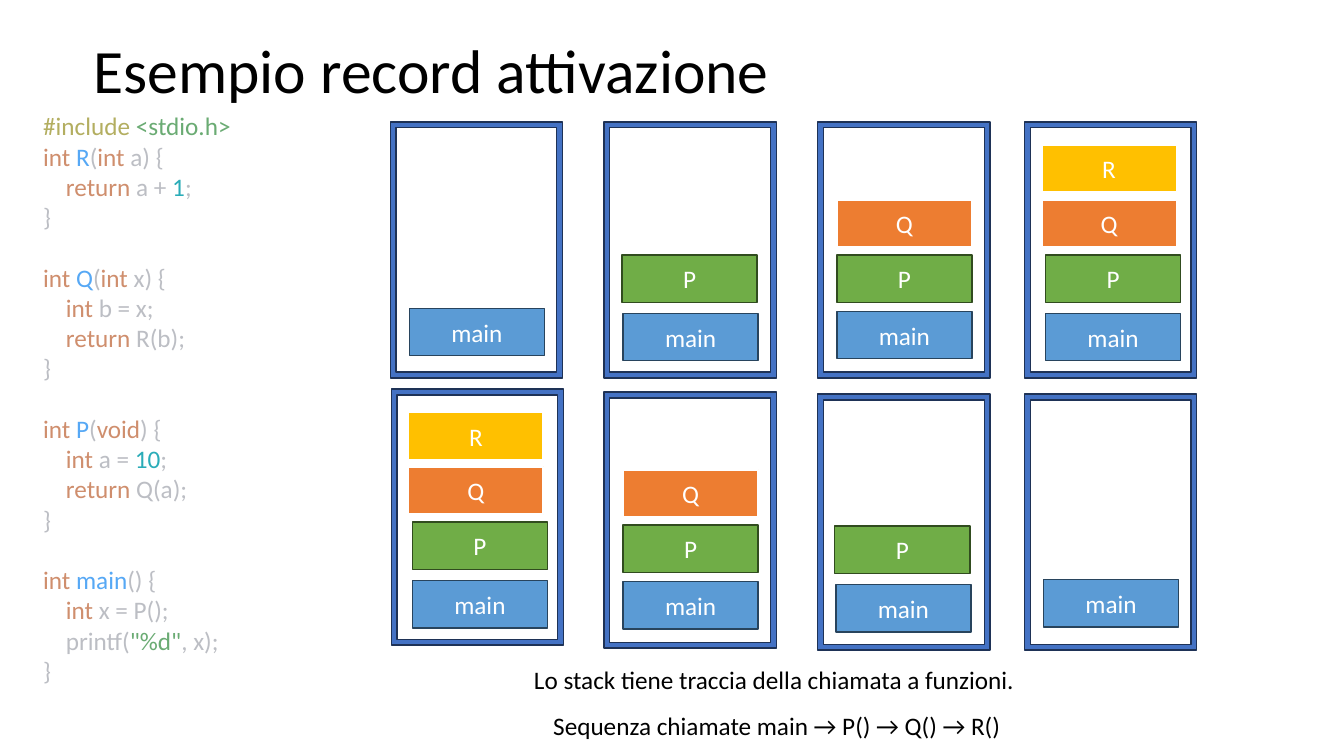
from pptx import Presentation
from pptx.dml.color import RGBColor
from pptx.enum.shapes import MSO_SHAPE
from pptx.enum.text import MSO_ANCHOR, PP_ALIGN
from pptx.util import Pt

PX = 9144

BLACK = RGBColor(0x00, 0x00, 0x00)
WHITE = RGBColor(0xFF, 0xFF, 0xFF)
FRAME_BLUE = RGBColor(0x44, 0x72, 0xC4)
FRAME_EDGE = RGBColor(0x1E, 0x32, 0x56)
MAIN_BLUE = RGBColor(0x5B, 0x9B, 0xD5)
MAIN_EDGE = RGBColor(0x28, 0x44, 0x5D)
P_GREEN = RGBColor(0x70, 0xAD, 0x47)
P_EDGE = RGBColor(0x31, 0x4C, 0x1F)
Q_ORANGE = RGBColor(0xED, 0x7D, 0x31)
R_YELLOW = RGBColor(0xFF, 0xC0, 0x00)
CODE_GREY = RGBColor(0xBC, 0xBE, 0xC4)
DIRECTIVE = RGBColor(0xB3, 0xAE, 0x60)
STRING = RGBColor(0x6A, 0xAB, 0x73)
KEYWORD = RGBColor(0xCF, 0x8E, 0x6D)
FUNCTION = RGBColor(0x56, 0xA8, 0xF5)
NUMBER = RGBColor(0x2A, 0xAC, 0xB8)

BODY_FORMAT = {"name": "Calibri", "size": Pt(18)}
TITLE_FORMAT = {"name": "Calibri", "size": Pt(44)}

TOKEN_COLOURS = {
    "#include": DIRECTIVE, "<stdio.h>": STRING, '"%d"': STRING,
    "int": KEYWORD, "return": KEYWORD, "void": KEYWORD,
    "R": FUNCTION, "Q": FUNCTION, "P": FUNCTION, "main": FUNCTION,
    "1": NUMBER, "10": NUMBER,
}
CODE_PARTS = [
    """#include |<stdio.h>
int |R|(|int |a) {
    |return |a + |1|;
}

int |Q|(|int |x) {""",
    """    |int| b = x;
    |return |R(b);
}

int |P|(|void|) {
    |int |a = |10|;
    |return |Q(a);
}

int |main|() {
    |int |x = P();
    printf(|"%d"|, x);
}""",
]

RECORD_STYLES = {
    "main": (MAIN_BLUE, MAIN_EDGE, 1),
    "P": (P_GREEN, P_EDGE, 1),
    "Q": (Q_ORANGE, WHITE, 1.5),
    "R": (R_YELLOW, WHITE, 1.5),
}
STACKS = [
    (387, 121, [("main", 406, 306)]),
    (599, 121, [("main", 618, 311), ("P", 617, 253)]),
    (811, 121, [("main", 830, 309), ("P", 830, 253), ("Q", 830, 198)]),
    (1016, 121, [("main", 1037, 311), ("P", 1037, 253),
                 ("Q", 1033, 198), ("R", 1033, 144)]),
    (388, 386, [("main", 409, 576), ("P", 409, 518),
                ("Q", 405, 463), ("R", 405, 409)]),
    (599, 389, [("main", 618, 577), ("P", 618, 521), ("Q", 618, 466)]),
    (811, 391, [("main", 829, 580), ("P", 828, 522)]),
    (1016, 391, [("main", 1035, 575)]),
]
CAPTIONS = [
    ("Lo stack tiene traccia della chiamata a funzioni. ", 479, 654, 583),
    ("Sequenza chiamate main → P() → Q() → R()", 483, 700, 575),
]


def add_words(paragraph, words, colour, font_format):
    run = paragraph.add_run()
    run.text = words
    for attribute, value in font_format.items():
        setattr(run.font, attribute, value)
    run.font.color.rgb = colour


def add_block(preset, left, top, width, height, fill, edge, weight):
    block = slide.shapes.add_shape(
        preset, left * PX, top * PX, width * PX, height * PX)
    block.shadow.inherit = False
    block.fill.solid()
    block.fill.fore_color.rgb = fill
    block.line.color.rgb = edge
    block.line.width = Pt(weight)
    return block


presentation = Presentation()
presentation.slide_width = 1333 * PX
presentation.slide_height = 750 * PX
slide = presentation.slides.add_slide(presentation.slide_layouts[6])

title = slide.shapes.add_textbox(83 * PX, 0, 1150 * PX, 145 * PX).text_frame
title.word_wrap = True
title.vertical_anchor = MSO_ANCHOR.MIDDLE
title.paragraphs[0].line_spacing = 0.9
add_words(title.paragraphs[0], "Esempio record attivazione", BLACK, TITLE_FORMAT)

for words, left, top, width in CAPTIONS:
    caption = slide.shapes.add_textbox(
        left * PX, top * PX, width * PX, 40 * PX).text_frame
    caption.word_wrap = True
    caption.paragraphs[0].alignment = PP_ALIGN.CENTER
    add_words(caption.paragraphs[0], words, BLACK, BODY_FORMAT)

code = slide.shapes.add_textbox(33 * PX, 105 * PX, 230 * PX, 616 * PX).text_frame
code.word_wrap = True
for part_index, part in enumerate(CODE_PARTS):
    code_paragraph = code.add_paragraph() if part_index else code.paragraphs[0]
    for line_index, code_line in enumerate(part.split("\n")):
        if line_index:
            code_paragraph.add_line_break()
        for token in filter(None, code_line.split("|")):
            token_colour = TOKEN_COLOURS.get(token.strip(), CODE_GREY)
            add_words(code_paragraph, token, token_colour, BODY_FORMAT)

for stack_left, stack_top, records in STACKS:
    stack = add_block(MSO_SHAPE.FRAME, stack_left, stack_top, 171, 254,
                      FRAME_BLUE, FRAME_EDGE, 1)
    stack.adjustments[0] = 0.034
    for function, left, top in records:
        record = add_block(MSO_SHAPE.RECTANGLE, left, top, 134, 47,
                           *RECORD_STYLES[function]).text_frame
        record.vertical_anchor = MSO_ANCHOR.MIDDLE
        record.paragraphs[0].alignment = PP_ALIGN.CENTER
        add_words(record.paragraphs[0], function, WHITE, BODY_FORMAT)

presentation.save("out.pptx")
